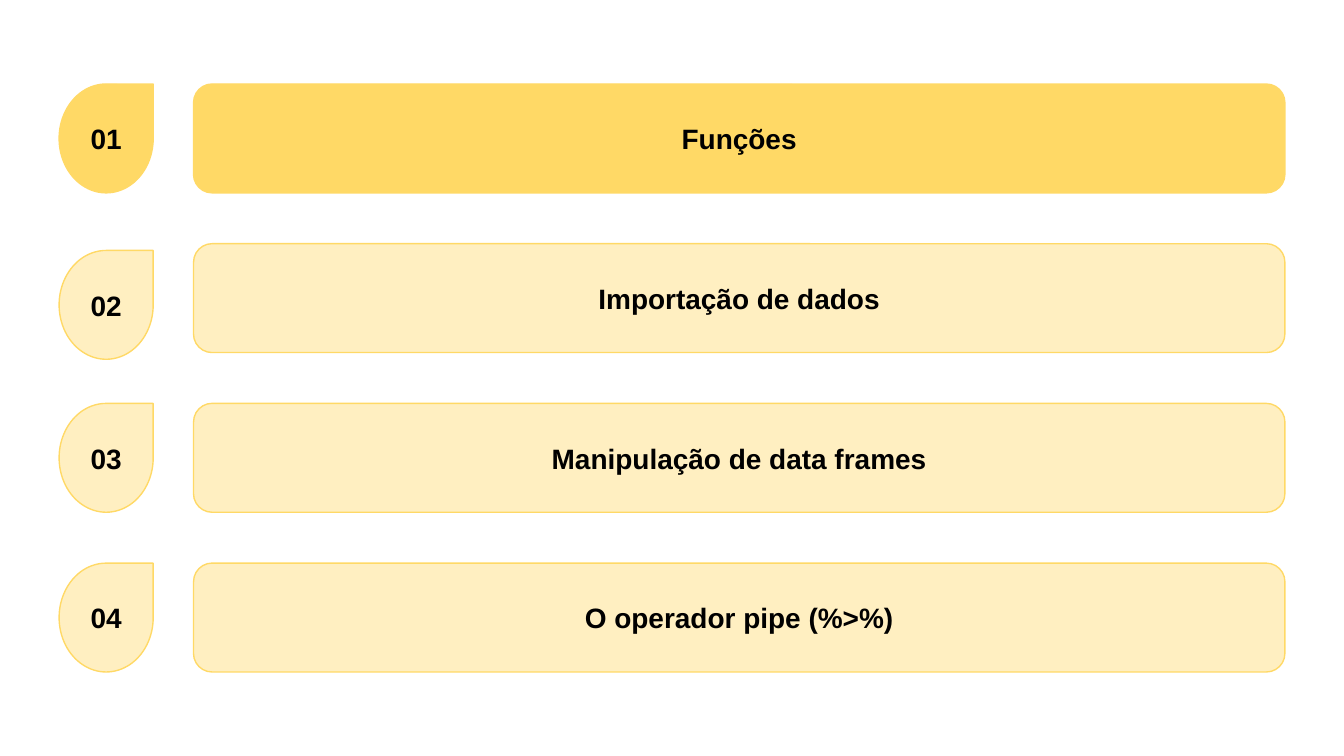
from lxml.etree import SubElement
from pptx import Presentation
from pptx.dml.color import RGBColor
from pptx.enum.shapes import MSO_SHAPE
from pptx.enum.text import MSO_ANCHOR, PP_ALIGN
from pptx.oxml.ns import qn
from pptx.util import Inches, Pt

# Content: topic and whether it is the current one
TOPICS = [
    ("Funções", True),
    ("Importação de dados", False),
    ("Manipulação de data frames", False),
    ("O operador pipe (%>%)", False),
]
COLORS = {"accent": "FFD966", "text": "000000"}
FADED_OPACITY = 40  # percent

# Grid, in inches
SLIDE_WIDTH = 10
SLIDE_HEIGHT = SLIDE_WIDTH * 9 / 16
NUMBER_COLUMN = (0.44, 0.7)  # left, width
TOPIC_COLUMN = (1.44, 8.12)
ROW_HEIGHT = 0.81
FIRST_ROW = SLIDE_HEIGHT / 9
LAST_ROW = SLIDE_HEIGHT - FIRST_ROW - ROW_HEIGHT
ROW_PITCH = (LAST_ROW - FIRST_ROW) / (len(TOPICS) - 1)
NUMBER_SHIFT = {2: 0.05}  # the second number sits slightly lower


def add_cell(slide, preset, adjustment, column, top, label, current):
    left, width = column
    cell = slide.shapes.add_shape(
        preset, Inches(left), Inches(top), Inches(width), Inches(ROW_HEIGHT))
    cell.adjustments[0] = adjustment
    cell.shadow.inherit = False

    # Fill and outline
    accent = RGBColor.from_string(COLORS["accent"])
    cell.fill.solid()
    cell.fill.fore_color.rgb = accent
    if not current:
        color = cell.element.spPr.find(qn("a:solidFill"))[0]
        SubElement(color, qn("a:alpha"), val=str(FADED_OPACITY * 1000))
    cell.line.color.rgb = accent
    cell.line.width = Pt(0.75)

    # Label
    frame = cell.text_frame
    frame.word_wrap = True
    frame.vertical_anchor = MSO_ANCHOR.MIDDLE
    frame.margin_left = frame.margin_right = Inches(0.1)
    frame.margin_top = frame.margin_bottom = Inches(0.1)
    paragraph = frame.paragraphs[0]
    paragraph.text = label
    paragraph.alignment = PP_ALIGN.CENTER
    font = paragraph.font
    font.name, font.size, font.bold = "Arial", Pt(15), True
    font.color.rgb = RGBColor.from_string(COLORS["text"])


def main():
    deck = Presentation()
    deck.slide_width, deck.slide_height = Inches(SLIDE_WIDTH), Inches(SLIDE_HEIGHT)
    agenda = deck.slides.add_slide(deck.slide_layouts[6])

    # One row per topic: number, then title
    for number, (topic, current) in enumerate(TOPICS, start=1):
        top = FIRST_ROW + (number - 1) * ROW_PITCH
        add_cell(agenda, MSO_SHAPE.TEAR, 1, NUMBER_COLUMN,
                 top + NUMBER_SHIFT.get(number, 0), f"{number:02}", current)
        add_cell(agenda, MSO_SHAPE.ROUNDED_RECTANGLE, 0.17, TOPIC_COLUMN,
                 top, topic, current)

    deck.save("out.pptx")


if __name__ == "__main__":
    main()
